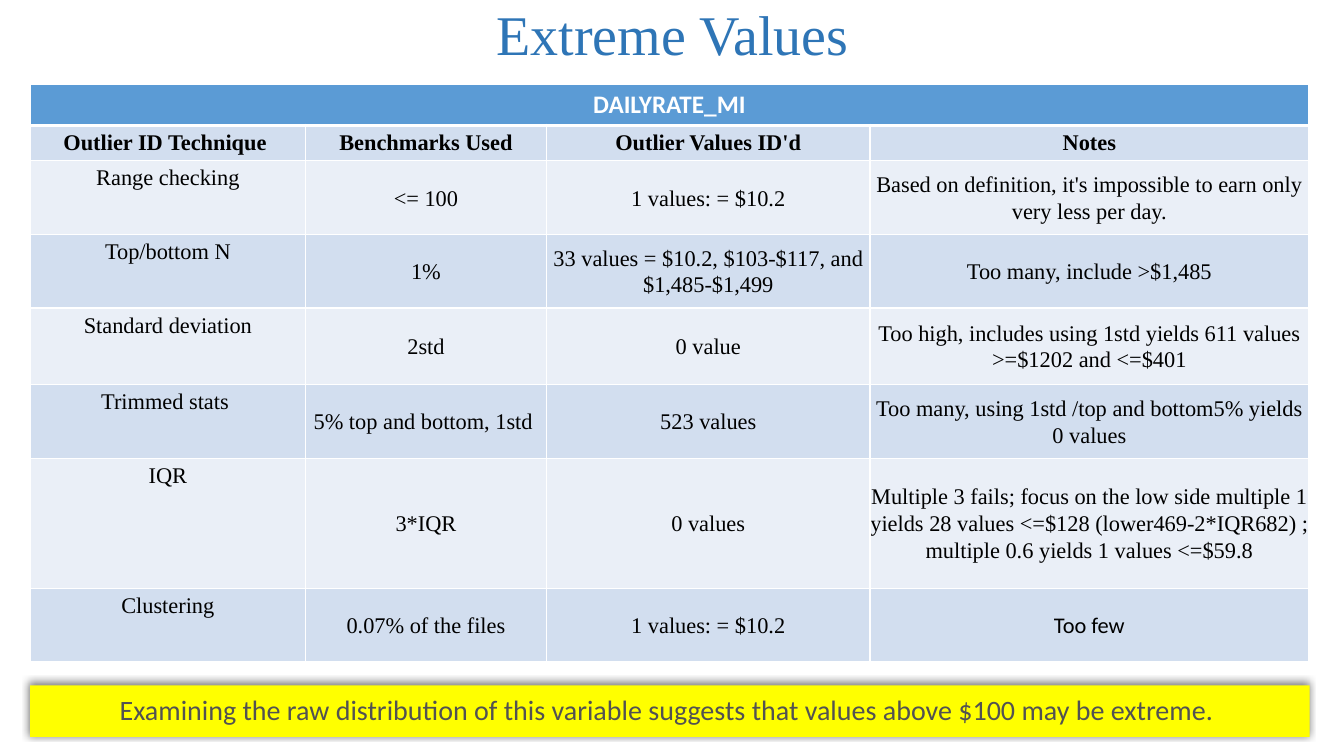
from dataclasses import dataclass

from lxml import etree
from pptx import Presentation
from pptx.dml.color import RGBColor
from pptx.enum.text import MSO_ANCHOR, PP_ALIGN
from pptx.oxml.ns import qn
from pptx.util import Inches, Pt

CENTER = PP_ALIGN.CENTER
TOP, MIDDLE, BOTTOM = MSO_ANCHOR.TOP, MSO_ANCHOR.MIDDLE, MSO_ANCHOR.BOTTOM


@dataclass(frozen=True)
class Theme:
    serif: str = "Times New Roman"
    sans: str = "Calibri"
    title: str = "2E75B6"
    header: str = "5B9BD5"
    bands: tuple = ("EAEFF7", "D2DEEF")
    white: str = "FFFFFF"
    black: str = "000000"
    highlight: str = "FFFF00"
    conclusion: str = "525252"
    title_size: int = 40
    conclusion_size: int = 20
    header_size: int = 18
    cell_size: int = 16
    border: int = 1
    header_border: int = 3


COLUMNS = (2.73, 2.39, 3.21, 4.35)
ROW_HEIGHTS = (0.39, 0.35, 0.73, 0.73, 0.76, 0.73, 1.29, 0.73)
SIDE_MARGINS = (0.1, 0.03, 0.03, 0)
ROWS = (
    ("DAILYRATE_MI", "", "", ""),
    ("Outlier ID Technique ", "Benchmarks Used", "Outlier Values ID'd", "Notes"),
    ("Range checking", "<= 100", "1 values: = $10.2",
     "Based on definition, it's impossible to earn only very less per day."),
    ("Top/bottom N", "1%", "33 values = $10.2, $103-$117, and $1,485-$1,499",
     "Too many, include >$1,485"),
    ("Standard deviation", "2std", "0 value",
     "Too high, includes using 1std yields 611 values >=$1202 and <=$401"),
    ("Trimmed stats ", "5% top and bottom, 1std ", "523 values",
     "Too many, using 1std /top and bottom5% yields 0 values"),
    ("IQR", "3*IQR", "0 values",
     "Multiple 3 fails; focus on the low side multiple 1 yields 28 values "
     "<=$128 (lower469-2*IQR682) ; multiple 0.6 yields 1 values <=$59.8"),
    ("Clustering", "0.07% of the files", "1 values: = $10.2", "Too few"),
)


class SlideBuilder:
    def __init__(self, deck, theme):
        self.theme = theme
        self.page = deck.slides.add_slide(deck.slide_layouts[0])

    def apply(self, target, values):
        for name, value in values.items():
            setattr(target, name, value)

    def add_text(self, frame, text, font, size, color, bold=False, spacing=1.0):
        para = frame.paragraphs[0]
        self.apply(para, {"alignment": CENTER, "line_spacing": spacing, "space_before": Pt(0)})
        span = para.add_run()
        span.text = text
        self.apply(span.font, {"name": font, "size": Pt(size), "bold": bold})
        span.font.color.rgb = RGBColor.from_string(color)

    def placeholder(self, index, place, anchor, text, **style):
        box = self.page.placeholders[index]
        names = ("left", "top", "width", "height")
        self.apply(box, dict(zip(names, map(Inches, place))))
        self.apply(box.text_frame, {"vertical_anchor": anchor, "word_wrap": True})
        self.add_text(box.text_frame, text, **style)
        return box

    def highlight(self, box):
        box.fill.solid()
        box.fill.fore_color.rgb = RGBColor.from_string(self.theme.highlight)
        effects = etree.SubElement(box._element.spPr, qn("a:effectLst"))
        shadow = etree.SubElement(effects, qn("a:outerShdw"), blurRad=str(Pt(5)),
                                  dist=str(Pt(2)), dir=str(245 * 60000), rotWithShape="0")
        color = etree.SubElement(shadow, qn("a:srgbClr"), val=self.theme.black)
        etree.SubElement(color, qn("a:alpha"), val="50000")

    def borders(self, cell, top, bottom):
        properties = cell._tc.get_or_add_tcPr()
        thin = self.theme.border
        for side, width in (("L", thin), ("R", thin), ("T", top), ("B", bottom)):
            line = etree.SubElement(properties, qn(f"a:ln{side}"), w=str(Pt(width)))
            fill = etree.SubElement(line, qn("a:solidFill"))
            etree.SubElement(fill, qn("a:srgbClr"), val=self.theme.white)

    def cell(self, cell, row, column, text):
        theme = self.theme
        thick, thin = theme.header_border, theme.border
        self.borders(cell, thick if row == 1 else thin, thick if row == 0 else thin)
        cell.fill.solid()
        fill = theme.header if row == 0 else theme.bands[row % 2]
        cell.fill.fore_color.rgb = RGBColor.from_string(fill)
        result = row > 1 and column > 0
        if result:
            side = Inches(SIDE_MARGINS[column])
            self.apply(cell, {"margin_left": side, "margin_right": side,
                              "margin_top": 0, "margin_bottom": 0})
        cell.vertical_anchor = MIDDLE if result else TOP
        if text:
            self.add_text(
                cell.text_frame, text,
                font=theme.sans if row == 0 or text == "Too few" else theme.serif,
                size=theme.header_size if row == 0 else theme.cell_size,
                color=theme.white if row == 0 else theme.black,
                bold=row < 2, spacing=1.07 if result else 1.0)

    def table(self, left, top):
        frame = self.page.shapes.add_table(
            len(ROWS), len(COLUMNS), Inches(left), Inches(top),
            Inches(sum(COLUMNS)), Inches(sum(ROW_HEIGHTS)))
        table = frame.table
        self.apply(table, {"first_row": False, "horz_banding": False})
        for column, width in zip(table.columns, COLUMNS):
            column.width = Inches(width)
        for row, height in zip(table.rows, ROW_HEIGHTS):
            row.height = Inches(height)
        table.cell(0, 0).merge(table.cell(0, len(COLUMNS) - 1))
        for row, texts in enumerate(ROWS):
            for column, text in enumerate(texts):
                self.cell(table.cell(row, column), row, column, text)


def main():
    deck = Presentation()
    deck.slide_width, deck.slide_height = Inches(13.33), Inches(7.5)
    theme = Theme()
    builder = SlideBuilder(deck, theme)
    builder.placeholder(0, (1.67, 0.08, 10, 0.63), BOTTOM, "Extreme Values",
                        font=theme.serif, size=theme.title_size, color=theme.title)
    builder.table(0.3, 0.84)
    conclusion = builder.placeholder(
        1, (0.3, 6.8, 12.69, 0.51), MIDDLE,
        "Examining the raw distribution of this variable suggests that "
        "values above $100 may be extreme. ",
        font=theme.sans, size=theme.conclusion_size, color=theme.conclusion, spacing=0.9)
    builder.highlight(conclusion)
    deck.save("out.pptx")


if __name__ == "__main__":
    main()
